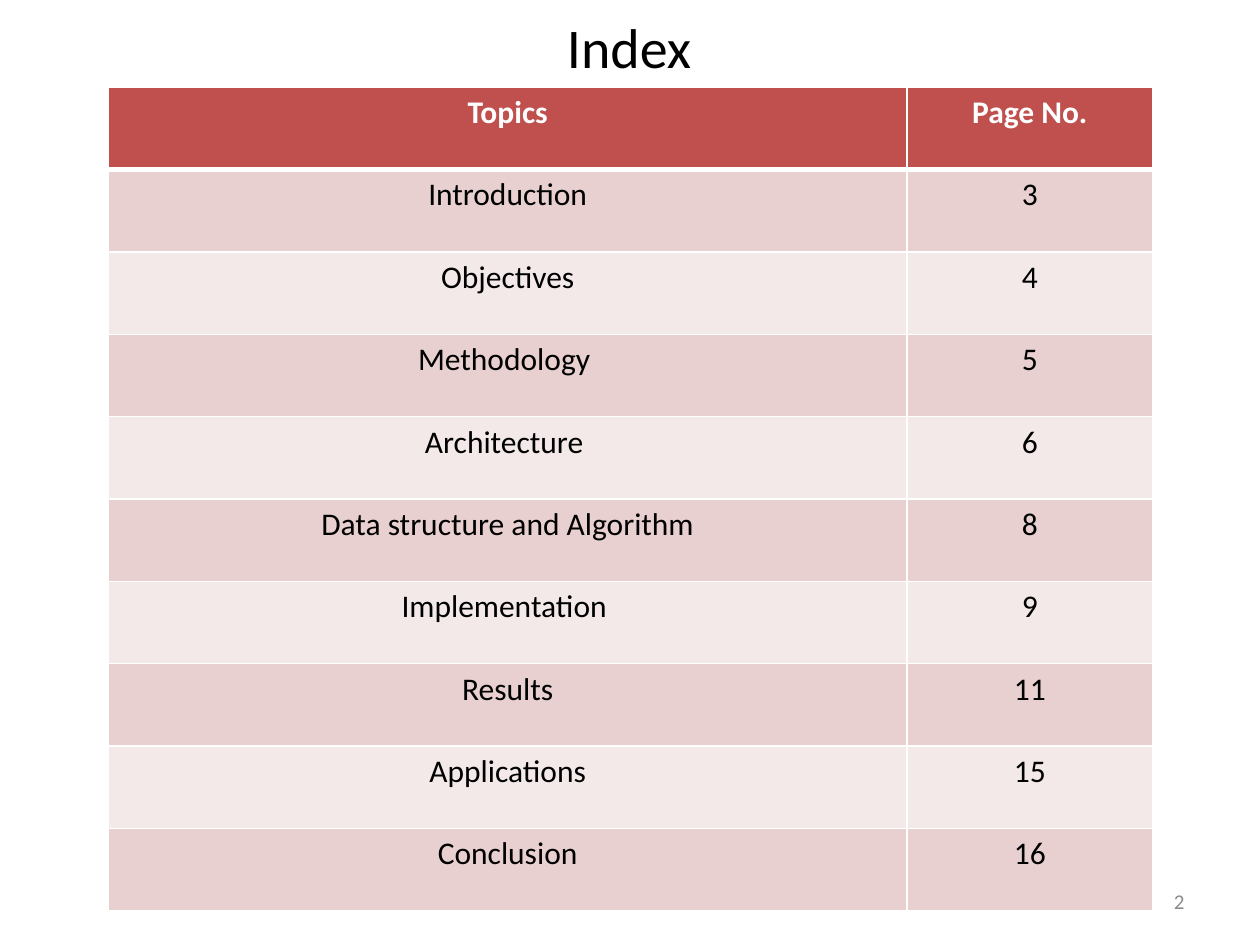
from pptx import Presentation
from pptx.dml.color import RGBColor
from pptx.enum.text import MSO_ANCHOR, MSO_AUTO_SIZE, PP_ALIGN
from pptx.oxml.ns import qn
from pptx.util import Cm, Pt
from lxml.etree import SubElement

FONT = "Calibri"
WHITE, BLACK, GREY = "FFFFFF", "000000", "8C8C8C"
RED, ROSE, PALE = "C0504D", "E8D0D0", "F4E9E9"

TOPICS = [
    ("Topics", "Page No."),
    ("Introduction", "3"),
    ("Objectives", "4"),
    ("Methodology ", "5"),
    ("Architecture ", "6"),
    ("Data structure and Algorithm", "8"),
    ("Implementation ", "9"),
    ("Results", "11"),
    ("Applications", "15"),
    ("Conclusion", "16"),
]


def color(code):
    return RGBColor.from_string(code)


def write(frame, text, size, code, align, bold=False):
    frame.text = text
    para = frame.paragraphs[0]
    para.alignment = align
    font = para.runs[0].font
    font.name, font.size, font.bold = FONT, Pt(size), bold
    font.color.rgb = color(code)


def add_text(slide, text, box, size, code, align, anchor, wrap=True):
    frame = slide.shapes.add_textbox(*map(Cm, box)).text_frame
    frame.word_wrap = wrap
    frame.vertical_anchor = anchor
    if not wrap:
        frame.auto_size = MSO_AUTO_SIZE.SHAPE_TO_FIT_TEXT
    write(frame, text, size, code, align)


def add_edges(cell, top, bottom):
    props = cell._tc.get_or_add_tcPr()
    for side, width in (("L", 1), ("R", 1), ("T", top), ("B", bottom)):
        line = SubElement(props, qn(f"a:ln{side}"), w=str(Pt(width)))
        fill = SubElement(line, qn("a:solidFill"))
        SubElement(fill, qn("a:srgbClr"), val=WHITE)


def add_index(slide, rows, left, top, widths, height):
    frame = slide.shapes.add_table(
        len(rows), len(widths), Cm(left), Cm(top),
        Cm(sum(widths)), Cm(height * len(rows)))
    table = frame.table
    for col, width in zip(table.columns, widths):
        col.width = Cm(width)
    for i, row in enumerate(rows):
        table.rows[i].height = Cm(height)
        head = i == 0
        back = RED if head else (ROSE if i % 2 else PALE)
        for j, text in enumerate(row):
            cell = table.cell(i, j)
            # The rule below the header is thicker
            add_edges(cell, 3 if i == 1 else 1, 3 if head else 1)
            cell.fill.solid()
            cell.fill.fore_color.rgb = color(back)
            write(cell.text_frame, text, 18, WHITE if head else BLACK,
                  PP_ALIGN.CENTER, head)


def main():
    deck = Presentation()
    deck.slide_width, deck.slide_height = Cm(25.4), Cm(19.05)
    slide = deck.slides.add_slide(deck.slide_layouts[6])

    # Page number
    add_text(slide, "2", (18.2, 17.66, 5.93, 1.01), 12, GREY,
             PP_ALIGN.RIGHT, MSO_ANCHOR.MIDDLE)

    # Table of topics
    add_index(slide, TOPICS, 2.19, 1.76, (16.09, 4.96), 1.66)

    # Title
    add_text(slide, "Index", (11.18, 0.13, 3.04, 1.62), 32, BLACK,
             PP_ALIGN.LEFT, MSO_ANCHOR.TOP, wrap=False)

    deck.save("out.pptx")


if __name__ == "__main__":
    main()
